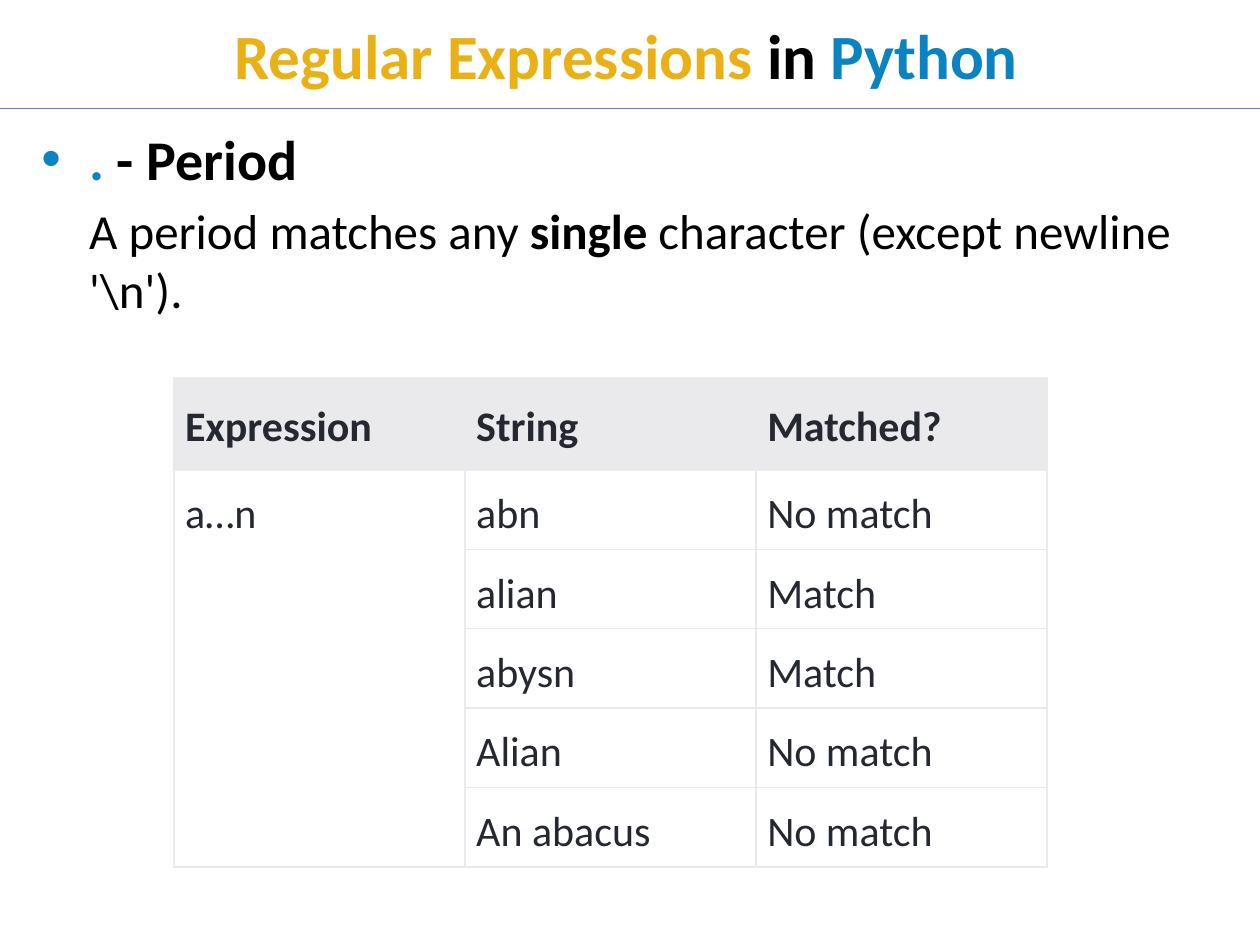
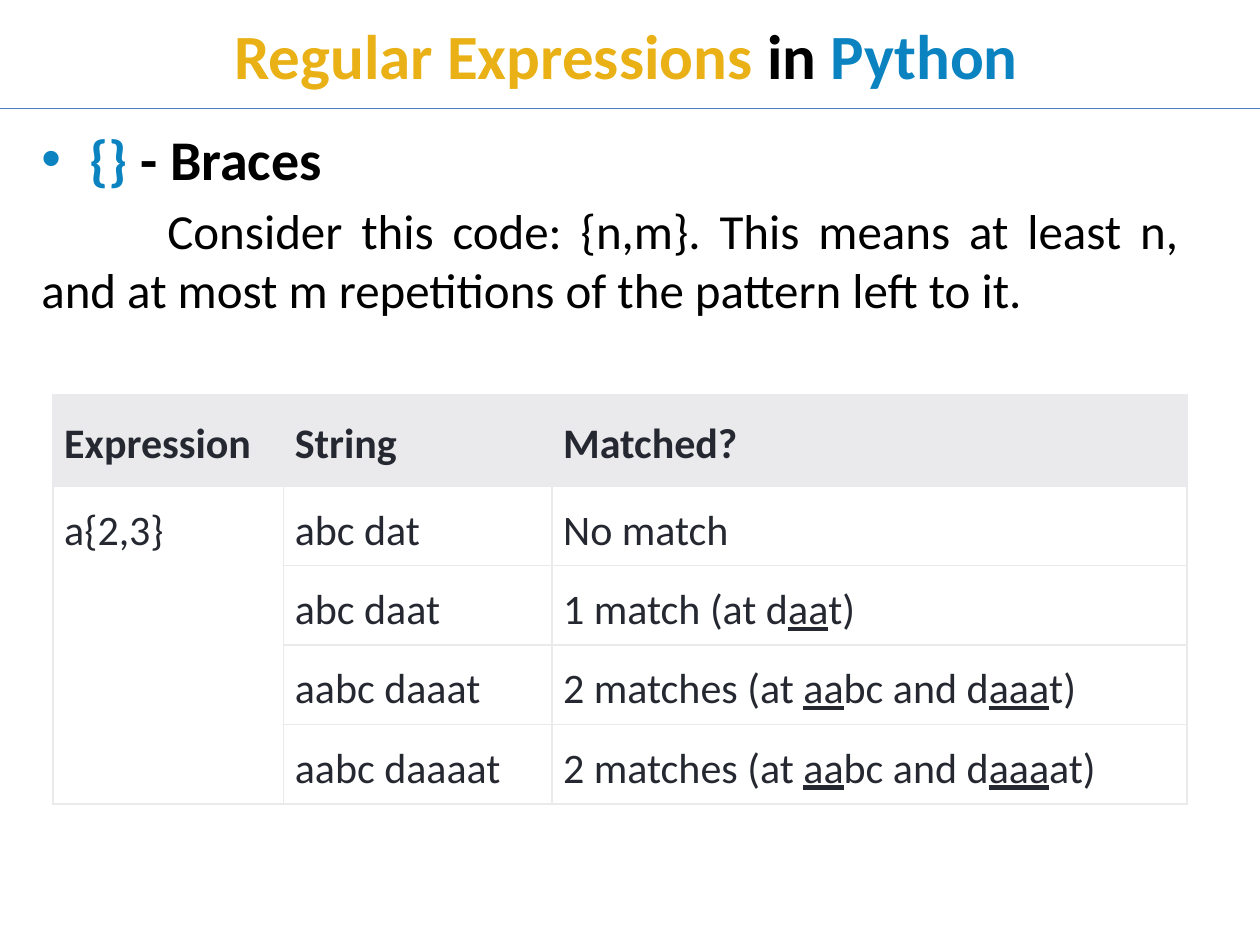
from lxml.etree import SubElement
from pptx import Presentation
from pptx.dml.color import RGBColor
from pptx.enum.shapes import MSO_CONNECTOR
from pptx.enum.text import MSO_ANCHOR, PP_ALIGN
from pptx.oxml.ns import qn
from pptx.util import Inches, Pt

GOLD, BLUE, BLACK = "E9B115", "0A83C0", "000000"
RULE, INK, GRAY, WHITE = "4B7EBC", "252830", "EAEAEC", "FFFFFF"
HEADER_HEIGHT, ROW_HEIGHT = 0.73, 0.63
HANGING = 0.38


def color(hex_string):
    return RGBColor.from_string(hex_string)


def add_run(paragraph, text, size, hex_string, bold=False, underline=None):
    run = paragraph.add_run()
    run.text = text
    font = run.font
    font.name, font.size, font.bold = "Calibri", Pt(size), bold
    font.underline = underline
    font.color.rgb = color(hex_string)


# In explanations, "*" switches bold; in table rows, "_" switches underline.
topics = [
    {
        "symbol": ".", "name": " - Period", "body_width": 9.49,
        "explanation": "A period matches any *single* character (except newline '\\n').",
        "left_indent": HANGING, "first_indent": 0, "align": PP_ALIGN.LEFT,
        "table_at": (1.38, 3.0), "columns": (2.31, 2.31, 2.31),
        "expression": "a…n",
        "rows": [
            ("abn", "No match"),
            ("alian", "Match"),
            ("abysn", "Match"),
            ("Alian", "No match"),
            ("An abacus", "No match"),
        ],
    },
    {
        "symbol": "{}", "name": " - Braces", "body_width": 9.22,
        "explanation": "Consider this code: {n,m}. This means at least n, "
                       "and at most m repetitions of the pattern left to it.",
        "left_indent": 0, "first_indent": 1, "align": PP_ALIGN.JUSTIFY,
        "table_at": (0.42, 3.13), "columns": (1.83, 2.13, 5.04),
        "expression": "a{2,3}",
        "rows": [
            ("abc dat", "No match"),
            ("abc daat", "1 match (at d_aa_t)"),
            ("aabc daaat", "2 matches (at _aa_bc and d_aaa_t)"),
            ("aabc daaaat", "2 matches (at _aa_bc and d_aaa_at)"),
        ],
    },
]

presentation = Presentation()
presentation.slide_width = Inches(10)
presentation.slide_height = Inches(7.5)

for topic in topics:
    slide = presentation.slides.add_slide(presentation.slide_layouts[6])

    # Title
    title = slide.shapes.add_textbox(Inches(0.47), 0, Inches(9), Inches(0.87)).text_frame
    title.word_wrap = True
    title.vertical_anchor = MSO_ANCHOR.MIDDLE
    paragraph = title.paragraphs[0]
    paragraph.alignment = PP_ALIGN.CENTER
    for text, hex_string in (("Regular Expressions ", GOLD), ("in ", BLACK), ("Python", BLUE)):
        add_run(paragraph, text, 36, hex_string, bold=True)

    # Symbol heading and explanation
    body = slide.shapes.add_textbox(
        Inches(0.23), Inches(0.94), Inches(topic["body_width"]), Inches(6.56)).text_frame
    body.word_wrap = True
    heading = body.paragraphs[0]
    properties = heading._p.get_or_add_pPr()
    properties.set("marL", str(Inches(HANGING)))
    properties.set("indent", str(-Inches(HANGING)))
    SubElement(properties, qn("a:buFont"), typeface="Arial")
    SubElement(properties, qn("a:buChar"), char="•")
    add_run(heading, topic["symbol"], 32, BLUE, bold=True)
    add_run(heading, topic["name"], 32, BLACK, bold=True)

    explanation = body.add_paragraph()
    explanation.alignment = topic["align"]
    explanation.space_before = Pt(5)
    properties = explanation._p.get_or_add_pPr()
    properties.set("marL", str(Inches(topic["left_indent"])))
    properties.set("indent", str(Inches(topic["first_indent"])))
    for index, text in enumerate(topic["explanation"].split("*")):
        add_run(explanation, text, 28, BLACK, bold=index % 2 == 1)

    # Rule under the title
    rule = slide.shapes.add_connector(
        MSO_CONNECTOR.STRAIGHT, 0, Inches(0.86), Inches(10), Inches(0.86))
    rule.line.color.rgb = color(RULE)
    rule.line.width = Pt(0.75)
    SubElement(rule._element.spPr, qn("a:effectLst"))

    # Table of matches
    rows = [("Expression", "String", "Matched?")]
    for index, (string, result) in enumerate(topic["rows"]):
        rows.append((topic["expression"] if index == 0 else "", string, result))
    left, top = topic["table_at"]
    height = HEADER_HEIGHT + ROW_HEIGHT * len(topic["rows"])
    table = slide.shapes.add_table(
        len(rows), 3, Inches(left), Inches(top),
        Inches(sum(topic["columns"])), Inches(height)).table
    table.first_row = table.horz_banding = False
    for column, width in zip(table.columns, topic["columns"]):
        column.width = Inches(width)

    for row_index, texts in enumerate(rows):
        is_header = row_index == 0
        table.rows[row_index].height = Inches(HEADER_HEIGHT if is_header else ROW_HEIGHT)
        for column_index, text in enumerate(texts):
            cell = table.cell(row_index, column_index)
            cell.margin_left, cell.margin_right = Inches(0.09), Inches(0.07)
            cell.margin_top = Inches(0.13 if is_header else 0.09)
            cell.margin_bottom = Inches(0.12 if is_header else 0.08)
            for side in ("lnL", "lnR", "lnT", "lnB"):
                border = SubElement(cell._tc.get_or_add_tcPr(), qn(f"a:{side}"), w=str(Pt(1)))
                fill = SubElement(border, qn("a:solidFill"))
                SubElement(fill, qn("a:srgbClr"), val=GRAY)
            cell.fill.solid()
            cell.fill.fore_color.rgb = color(GRAY if is_header else WHITE)
            if text:
                paragraph = cell.text_frame.paragraphs[0]
                paragraph.line_spacing = 1.15
                for index, part in enumerate(text.split("_")):
                    add_run(paragraph, part, 24, INK, bold=is_header,
                            underline=index % 2 == 1)
    table.cell(1, 0).merge(table.cell(len(rows) - 1, 0))

presentation.save("out.pptx")
